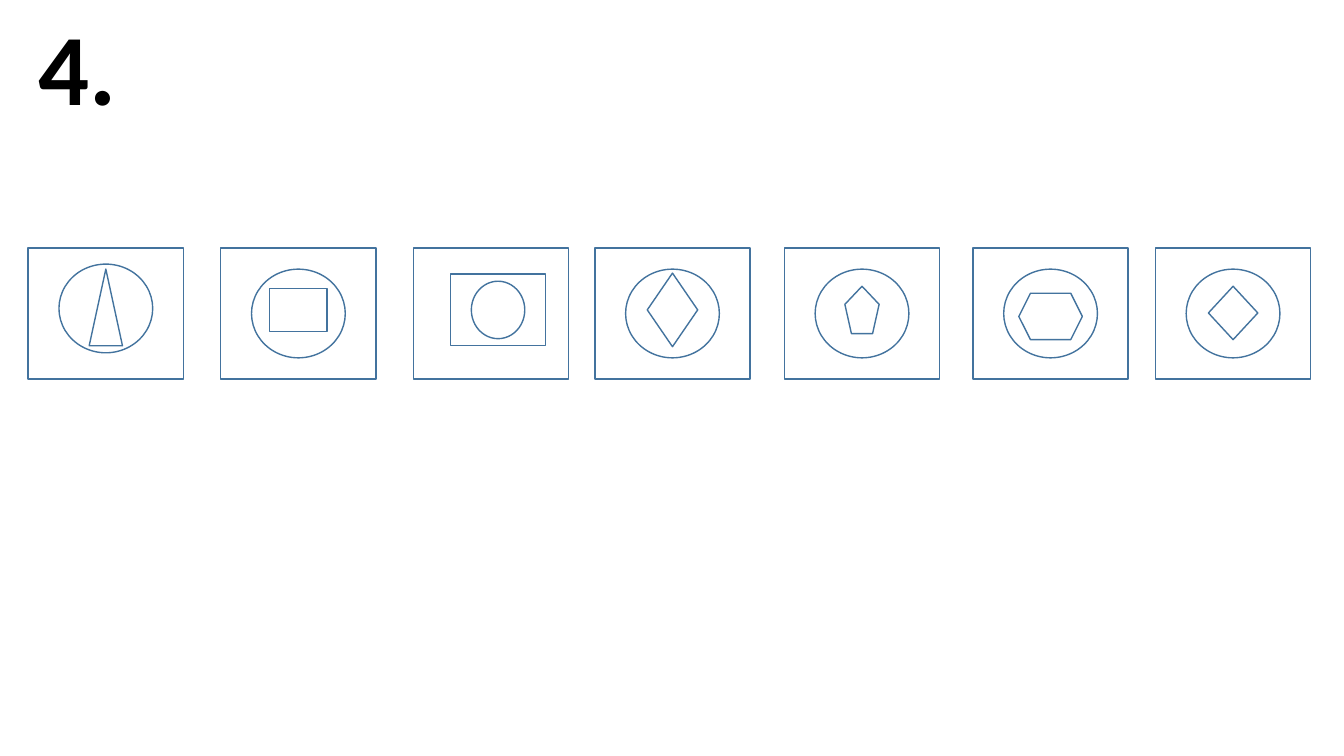
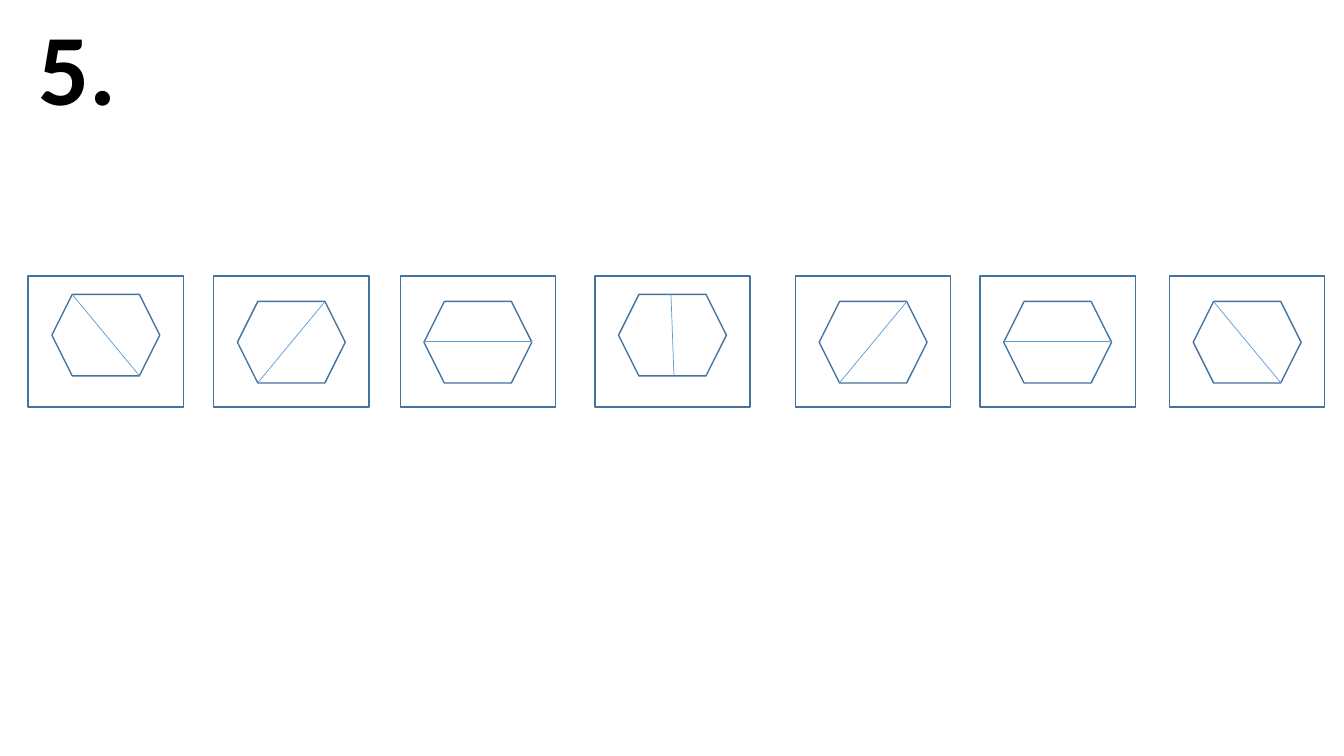
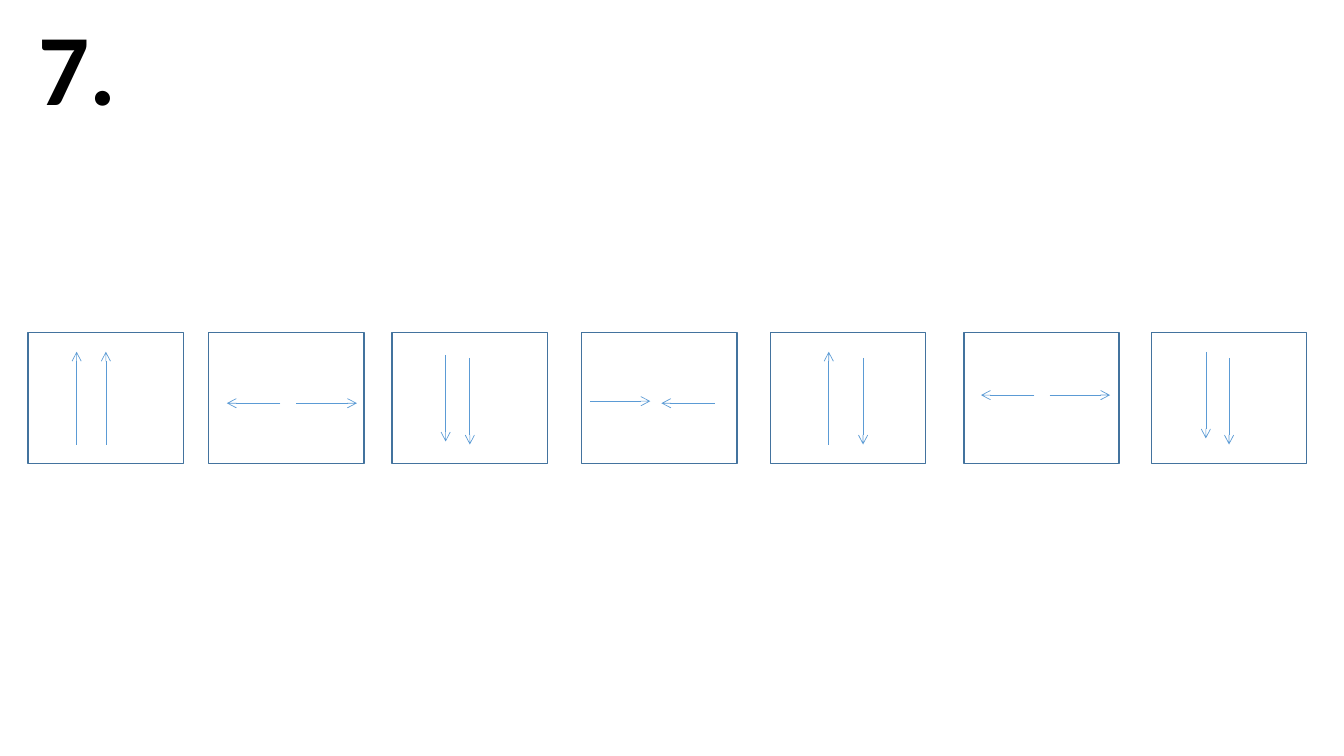
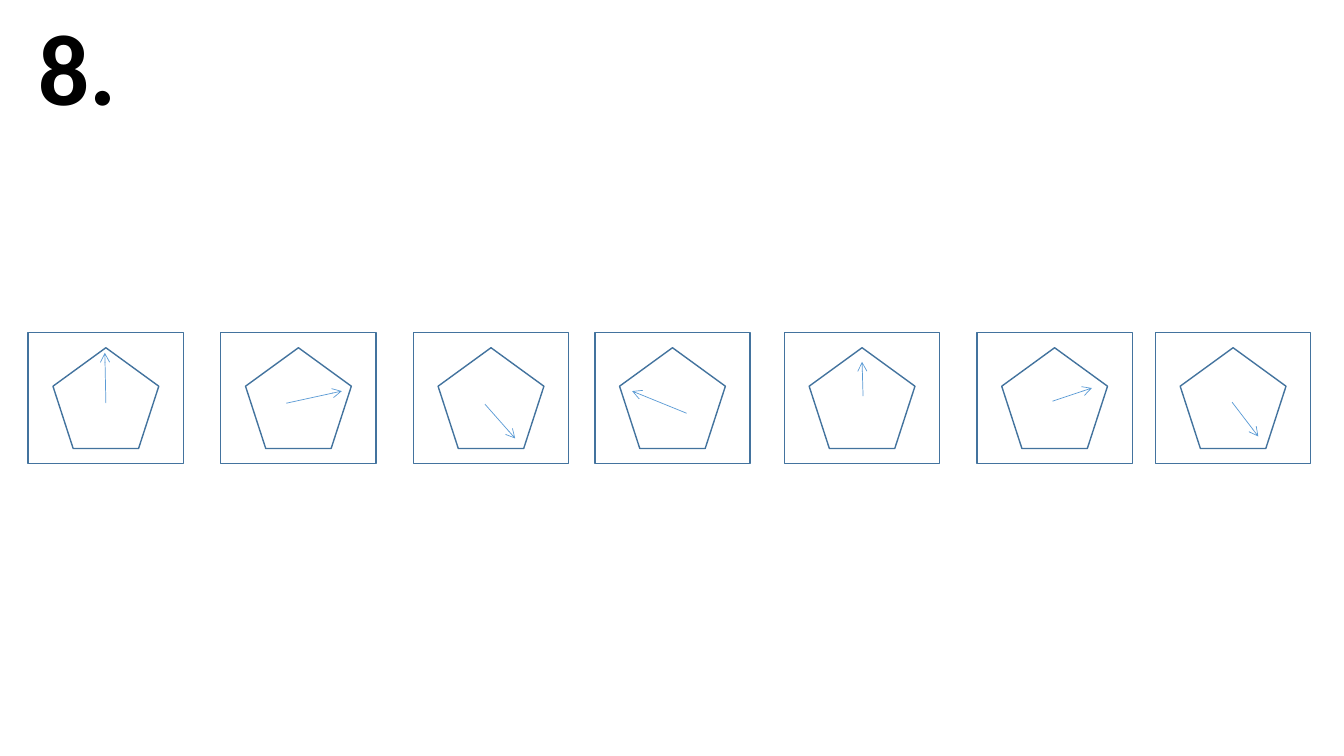
import pptx
import pptx.dml.color
import pptx.enum.shapes
import pptx.enum.text
import pptx.oxml.ns
import pptx.util
import lxml.etree

SHAPE = pptx.enum.shapes.MSO_SHAPE
SLIDE_WIDTH, SLIDE_HEIGHT = 13.33, 7.5
CARD_WIDTH, CARD_HEIGHT = 1.54, 1.3
PAPER, OUTLINE, STROKE, INK = "FFFFFF", "43739E", "5B9BD5", "000000"
FONT = "Calibri"

ROUND = (SHAPE.OVAL, 0.21, 0.93, 0.88, 0)
NESTED_CARDS = [
    (0.28, [(SHAPE.OVAL, 0.16, 0.93, 0.88, 0), (SHAPE.ISOSCELES_TRIANGLE, 0.21, 0.33, 0.76, 0)]),
    (2.19, [ROUND, (SHAPE.RECTANGLE, 0.4, 0.57, 0.43, 0)]),
    (4.1, [(SHAPE.RECTANGLE, 0.26, 0.94, 0.71, 0.07), (SHAPE.OVAL, 0.33, 0.53, 0.57, 0.07)]),
    (5.9, [ROUND, (SHAPE.DIAMOND, 0.25, 0.5, 0.73, 0)]),
    (7.78, [ROUND, (SHAPE.REGULAR_PENTAGON, 0.38, 0.34, 0.47, 0)]),
    (9.65, [ROUND, (SHAPE.HEXAGON, 0.45, 0.63, 0.46, 0)]),
    (11.46, [ROUND, (SHAPE.FLOWCHART_DECISION, 0.38, 0.49, 0.53, 0)]),
]

HEXAGON_WIDTH, HEXAGON_HEIGHT = 1.07, 0.81
DIVIDERS = {
    "falling": ((0.2, 0), (0.87, 0.81)),
    "rising": ((0.87, 0), (0.2, 0.81)),
    "level": ((0, 0.4), (1.07, 0.4)),
    "upright": ((0.52, 0), (0.55, 0.81)),
}
HEXAGON_CARDS = [
    (0.28, 0.18, "falling"),
    (2.12, 0.25, "rising"),
    (3.97, 0.25, "level"),
    (5.9, 0.18, "upright"),
    (7.89, 0.25, "rising"),
    (9.72, 0.25, "level"),
    (11.6, 0.25, "falling"),
]

DIRECTIONS = {"up": (0, -0.92), "down": (0, 0.86), "left": (-0.53, 0), "right": (0.6, 0)}
ARROW_CARDS = [
    (0.28, [("up", 0.48, 1.11), ("up", 0.77, 1.11)]),
    (2.07, [("left", 0.71, 0.7), ("right", 0.87, 0.7)]),
    (3.89, [("down", 0.53, 0.22), ("down", 0.77, 0.25)]),
    (5.77, [("right", 0.08, 0.68), ("left", 1.32, 0.7)]),
    (7.64, [("up", 0.58, 1.11), ("down", 0.92, 0.25)]),
    (9.56, [("left", 0.7, 0.62), ("right", 0.85, 0.62)]),
    (11.42, [("down", 0.54, 0.19), ("down", 0.77, 0.25)]),
]

PENTAGON_CARDS = [
    (0.28, (0.77, 0.7), (0.76, 0.2)),
    (2.19, (0.65, 0.7), (1.2, 0.58)),
    (4.1, (0.71, 0.71), (1.01, 1.05)),
    (5.9, (0.91, 0.8), (0.37, 0.58)),
    (7.78, (0.78, 0.63), (0.77, 0.29)),
    (9.69, (0.75, 0.68), (1.14, 0.55)),
    (11.46, (0.76, 0.69), (1.02, 1.03)),
]


def color(value):
    """Turn a hex string into a colour."""
    return pptx.dml.color.RGBColor.from_string(value)


def inches(*values):
    """Turn numbers into lengths in inches."""
    return [pptx.util.Inches(value) for value in values]


def add_outline(slide, kind, left, top, width, height):
    """Draw a white preset shape with a thin blue outline."""
    shape = slide.shapes.add_shape(kind, *inches(left, top, width, height))
    shape.shadow.inherit = False
    shape.fill.solid()
    shape.fill.fore_color.rgb = color(PAPER)
    shape.line.color.rgb = color(OUTLINE)
    shape.line.width = pptx.util.Pt(1)


def add_card(slide, left, top):
    """Draw the frame of one puzzle card."""
    add_outline(slide, SHAPE.RECTANGLE, left, top, CARD_WIDTH, CARD_HEIGHT)


def add_figure(slide, card, kind, drop, width, height, shift=0):
    """Draw a figure centred across a card, return its corner."""
    left = card[0] + (CARD_WIDTH - width) / 2 + shift
    top = card[1] + drop
    add_outline(slide, kind, left, top, width, height)
    return left, top


def add_stroke(slide, origin, start, end, arrow=False):
    """Draw a line, or an arrow, between two points measured from an origin."""
    points = [origin[axis] + point[axis] for point in (start, end) for axis in (0, 1)]
    connector = slide.shapes.add_connector(
        pptx.enum.shapes.MSO_CONNECTOR.STRAIGHT, *inches(*points))
    connector.line.color.rgb = color(STROKE)
    connector.line.width = pptx.util.Pt(0.5)
    qualified = pptx.oxml.ns.qn
    if arrow:
        head = lxml.etree.SubElement(connector.line._get_or_add_ln(), qualified("a:tailEnd"))
        head.set("type", "arrow")
    lxml.etree.SubElement(connector._element.spPr, qualified("a:effectLst"))


def add_puzzle_slide(presentation, number):
    """Add a blank slide with its big puzzle number."""
    slide = presentation.slides.add_slide(presentation.slide_layouts[6])
    frame = slide.shapes.add_textbox(*inches(0.28, 0, 0.97, 1.31)).text_frame
    frame.word_wrap = False
    frame.auto_size = pptx.enum.text.MSO_AUTO_SIZE.SHAPE_TO_FIT_TEXT
    frame.margin_left, frame.margin_right = inches(0.05, 0.05)
    paragraph = frame.paragraphs[0]
    paragraph.alignment = pptx.enum.text.PP_ALIGN.CENTER
    run = paragraph.add_run()
    run.text = number
    run.font.name = FONT
    run.font.size = pptx.util.Pt(72)
    run.font.bold = True
    run.font.color.rgb = color(INK)
    return slide


def build_nested_slide(presentation):
    """Build the row of figures inside figures."""
    slide, top = add_puzzle_slide(presentation, "4."), 2.46
    for left, figures in NESTED_CARDS:
        add_card(slide, left, top)
        for figure in figures:
            add_figure(slide, (left, top), *figure)


def build_hexagon_slide(presentation):
    """Build the row of divided hexagons."""
    slide, top = add_puzzle_slide(presentation, "5."), 2.74
    for left, drop, divider in HEXAGON_CARDS:
        add_card(slide, left, top)
        corner = add_figure(
            slide, (left, top), SHAPE.HEXAGON, drop, HEXAGON_WIDTH, HEXAGON_HEIGHT)
        add_stroke(slide, corner, *DIVIDERS[divider])


def build_arrow_slide(presentation):
    """Build the row of arrow pairs."""
    slide, top = add_puzzle_slide(presentation, "7."), 3.3
    for left, arrows in ARROW_CARDS:
        add_card(slide, left, top)
        for direction, x, y in arrows:
            across, down = DIRECTIONS[direction]
            add_stroke(slide, (left, top), (x, y), (x + across, y + down), arrow=True)


def build_pentagon_slide(presentation):
    """Build the row of pentagons with a turning arrow."""
    slide, top = add_puzzle_slide(presentation, "8."), 3.3
    for left, start, end in PENTAGON_CARDS:
        add_card(slide, left, top)
        add_figure(slide, (left, top), SHAPE.REGULAR_PENTAGON, 0.15, 1.05, 1)
        add_stroke(slide, (left, top), start, end, arrow=True)


def main():
    """Build the four puzzle slides and save them."""
    presentation = pptx.Presentation()
    presentation.slide_width, presentation.slide_height = inches(SLIDE_WIDTH, SLIDE_HEIGHT)
    build_nested_slide(presentation)
    build_hexagon_slide(presentation)
    build_arrow_slide(presentation)
    build_pentagon_slide(presentation)
    presentation.save("out.pptx")


if __name__ == "__main__":
    main()
